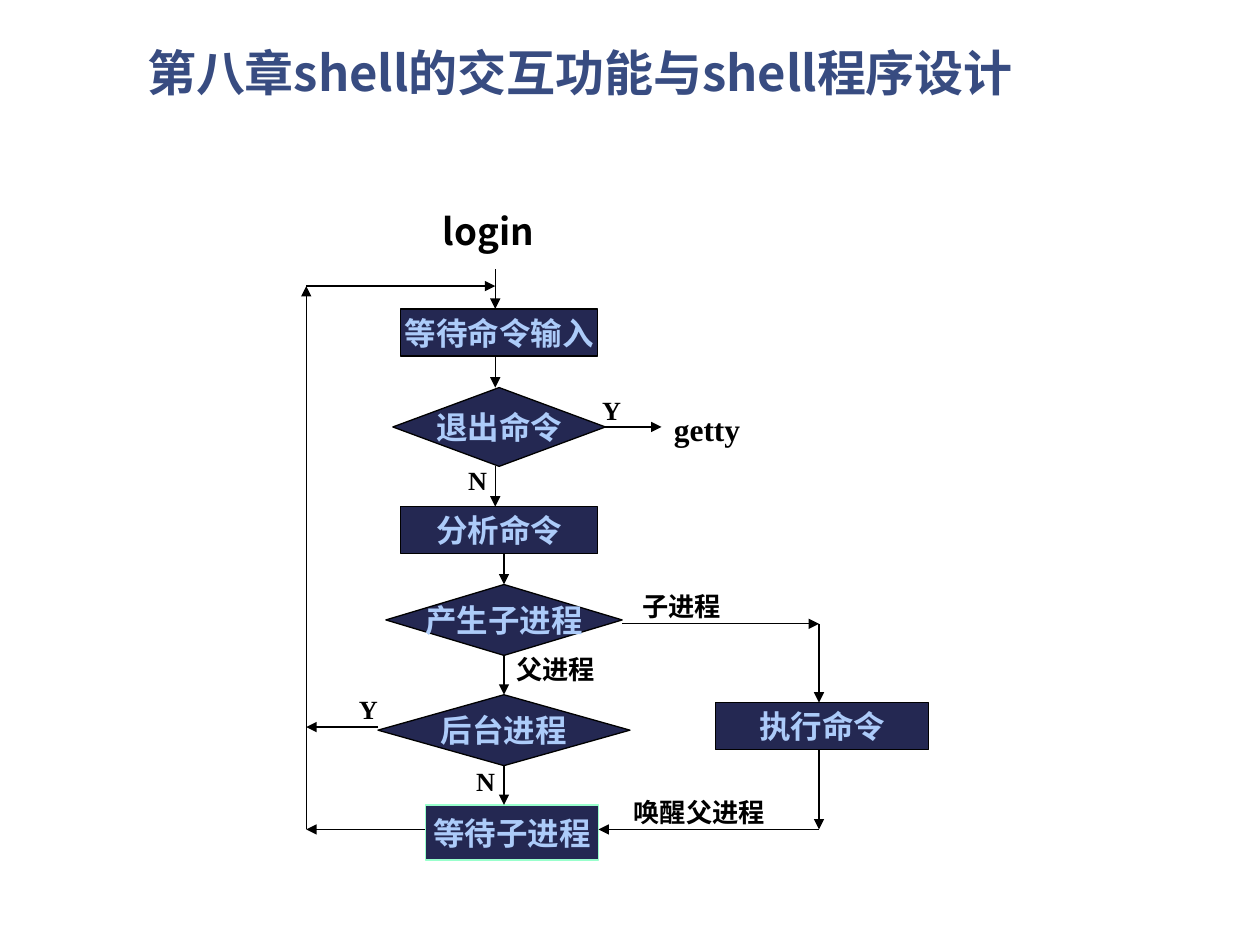
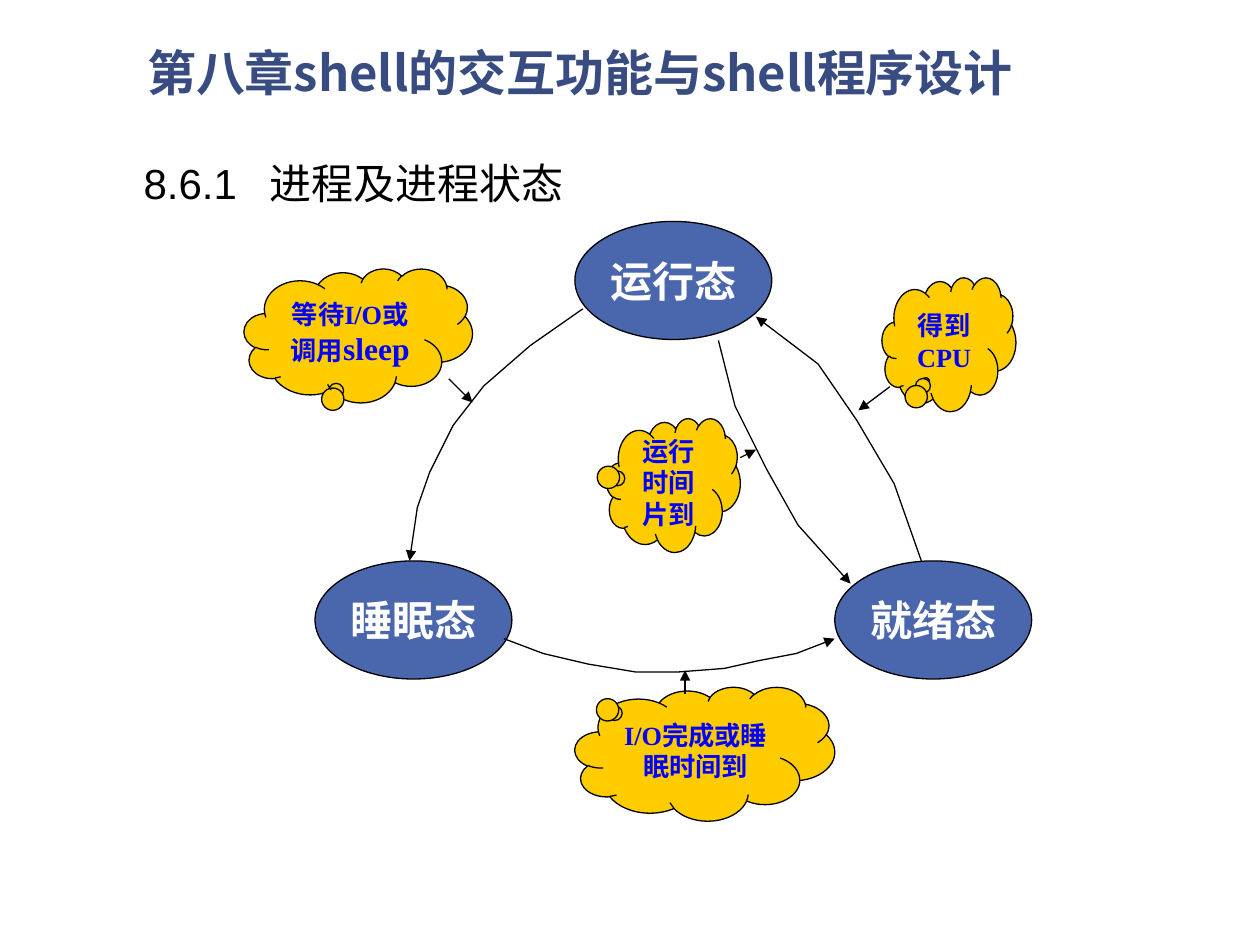
from dataclasses import dataclass

from lxml.etree import SubElement
from pptx import Presentation
from pptx.dml.color import RGBColor
from pptx.enum.shapes import MSO_CONNECTOR, MSO_SHAPE
from pptx.enum.text import MSO_ANCHOR, PP_ALIGN
from pptx.oxml.ns import qn
from pptx.util import Pt

TOP, LEFT, BOTTOM, RIGHT = range(4)


@dataclass(frozen=True)
class Theme:
    # Colours
    title: str = "384C81"
    ink: str = "000000"
    step: str = "242852"
    step_text: str = "ACCBF9"
    highlight: str = "99FFCC"
    state: str = "4A66AC"
    state_text: str = "FFFFFF"
    cloud: str = "FFCC00"
    cloud_text: str = "0000FF"
    # Fonts and type sizes
    serif: str = "Times New Roman"
    sans: str = "Arial"
    chinese: str = "Noto Sans CJK SC"
    title_size: float = 28
    heading_size: float = 24
    login_size: float = 21
    step_size: float = 18
    label_size: float = 15
    line_width: float = 0.75


class Deck:
    """Holds the theme and the slide being drawn; all lengths are in points."""

    def __init__(self, theme):
        self.theme = theme
        self.presentation = Presentation()
        self.presentation.slide_width = Pt(720)
        self.presentation.slide_height = Pt(540)
        self.slide = None

    def new_slide(self, title):
        theme = self.theme
        self.slide = self.presentation.slides.add_slide(self.presentation.slide_layouts[6])
        frame = self.text(77, 26, 550, 34.5, title, theme.title_size, theme.chinese, theme.title)
        frame.vertical_anchor = MSO_ANCHOR.MIDDLE
        frame.paragraphs[0].line_spacing = 0.9

    def format_run(self, run, size, font, color, bold=True):
        run.font.size = Pt(size)
        run.font.bold = bold
        run.font.color.rgb = RGBColor.from_string(color)
        run.font.name = font
        SubElement(run.font._element, qn("a:ea"), typeface=self.theme.chinese)

    def text(self, left, top, width, height, text, size=None, font=None, color=None,
             bold=True, tab=None):
        theme = self.theme
        box = self.slide.shapes.add_textbox(Pt(left), Pt(top), Pt(width), Pt(height))
        frame = box.text_frame
        frame.word_wrap = True
        frame.text = text
        paragraph = frame.paragraphs[0]
        if tab:
            tabs = SubElement(paragraph._p.get_or_add_pPr(), qn("a:tabLst"))
            SubElement(tabs, qn("a:tab"), pos=str(Pt(tab)), algn="l")
        self.format_run(paragraph.runs[0], size or theme.label_size,
                        font or theme.serif, color or theme.ink, bold)
        return frame

    def outline(self, shape, color=None):
        shape.line.color.rgb = RGBColor.from_string(color or self.theme.ink)
        shape.line.width = Pt(self.theme.line_width)

    def shape(self, kind, box, text, fill, color, size, line=None, wrap=False):
        shape = self.slide.shapes.add_shape(kind, *map(Pt, box))
        shape.shadow.inherit = False
        shape.fill.solid()
        shape.fill.fore_color.rgb = RGBColor.from_string(fill)
        self.outline(shape, line)
        frame = shape.text_frame
        frame.word_wrap = wrap
        frame.vertical_anchor = MSO_ANCHOR.MIDDLE
        frame.text = text
        paragraph = frame.paragraphs[0]
        paragraph.alignment = PP_ALIGN.CENTER
        self.format_run(paragraph.runs[0], size, self.theme.serif, color)
        return shape

    def step(self, kind, box, text, line=None):
        theme = self.theme
        return self.shape(kind, box, text, theme.step, theme.step_text, theme.step_size, line)

    def state(self, left, top, text):
        theme = self.theme
        return self.shape(MSO_SHAPE.OVAL, (left, top, 112.5, 67.5), text,
                          theme.state, theme.state_text, theme.heading_size)

    def cloud(self, left, top, width, tip, text, command=""):
        theme = self.theme
        shape = self.shape(MSO_SHAPE.CLOUD_CALLOUT, (left, top, width, 76.5), text,
                           theme.cloud, theme.cloud_text, theme.label_size, wrap=True)
        shape.adjustments[0], shape.adjustments[1] = tip
        if command:
            run = shape.text_frame.paragraphs[0].add_run()
            run.text = command
            self.format_run(run, theme.step_size, theme.serif, theme.cloud_text)

    def add_arrowhead(self, shape):
        SubElement(shape._element.spPr.find(qn("a:ln")), qn("a:tailEnd"), type="triangle")

    def arrow(self, start, end, begin=None, finish=None):
        """begin and finish are optional (shape, side) pairs to join."""
        connector = self.slide.shapes.add_connector(
            MSO_CONNECTOR.STRAIGHT, *map(Pt, (*start, *end)))
        if begin:
            connector.begin_connect(*begin)
        if finish:
            connector.end_connect(*finish)
        self.outline(connector)
        self.add_arrowhead(connector)
        SubElement(connector._element.spPr, qn("a:effectLst"))

    def curve(self, *points):
        start, *rest = [(Pt(x), Pt(y)) for x, y in points]
        builder = self.slide.shapes.build_freeform(*start)
        builder.add_line_segments(rest, close=False)
        shape = builder.convert_to_shape()
        shape.shadow.inherit = False
        shape.fill.background()
        self.outline(shape)
        self.add_arrowhead(shape)


def draw_command_loop(deck):
    theme = deck.theme
    deck.text(246, 116, 90, 38, "login", theme.login_size, theme.chinese)

    # Steps and decisions
    box, decision = MSO_SHAPE.RECTANGLE, MSO_SHAPE.FLOWCHART_DECISION
    deck.step(box, (229, 176.5, 112.5, 27), "等待命令输入")
    deck.step(box, (229, 289.5, 112.5, 27), "分析命令")
    leave = deck.step(decision, (224.5, 221.5, 121.5, 45), "退出命令")
    fork = deck.step(decision, (220.5, 334, 135, 40.5), "产生子进程")
    background = deck.step(decision, (216, 397, 144, 40.5), "后台进程")
    deck.step(MSO_SHAPE.FLOWCHART_PROCESS, (243, 460, 99, 31.5), "等待子进程", theme.highlight)
    deck.step(box, (409, 401.5, 121.5, 27), "执行命令")

    # Main path, downwards
    trunk, middle, child, loop = 283, 288, 468, 175
    for top, bottom in ((154, 176.5), (203.5, 221.5), (266.5, 289.5)):
        deck.arrow((trunk, top), (trunk, bottom))
    deck.arrow((middle, 316.5), (middle, 334), finish=(fork, TOP))
    deck.arrow((middle, 374.5), (middle, 397), (fork, BOTTOM), (background, TOP))
    deck.arrow((middle, 437.5), (middle, 460), begin=(background, BOTTOM))

    # Exit, child process and the way back
    entry, wake = 163.5, 474
    deck.arrow((346, 244), (378, 244), begin=(leave, RIGHT))
    for start, end in (
        ((355.5, 356.5), (child, 356.5)),
        ((child, 356.5), (child, 401.5)),
        ((child, 428.5), (child, wake)),
        ((child, wake), (342, wake)),
        ((loop, entry), (trunk, entry)),
        ((243, wake), (loop, wake)),
        ((loop, wake), (loop, entry)),
        ((216, 415.5), (loop, 415.5)),
    ):
        deck.arrow(start, end)

    # Branch labels
    deck.text(378, 230.5, 72, 29, "getty", theme.step_size)
    for left, top, width, text in (
        (337, 222, 27, "Y"),
        (260.5, 262, 36, "N"),
        (360, 334, 78.5, "子进程"),
        (288, 370, 72, "父进程"),
        (355, 451.5, 103.5, "唤醒父进程"),
        (265, 433.5, 27, "N"),
        (198, 392.5, 31.5, "Y"),
    ):
        deck.text(left, top, width, 25, text)


def draw_process_states(deck):
    theme = deck.theme

    # States
    deck.state(328.5, 126.5, "运行态")
    deck.state(477, 320.5, "就绪态")
    deck.state(180, 320.5, "睡眠态")

    # Transitions
    deck.curve((333, 176.5), (303, 197.5), (276.5, 220.5), (259, 243),
               (245.5, 270), (238.5, 290), (234, 320.5))
    deck.curve((288, 365), (310.5, 373.5), (336, 379.5), (363, 384), (388, 384),
               (414, 382), (434, 377.5), (455, 373.5), (477, 365))
    deck.curve((410.5, 194.5), (420, 232), (438, 268), (456, 300), (486, 333.5))
    deck.curve((526.5, 320.5), (511, 276.5), (489.5, 240), (467.5, 208), (432, 181))

    # Causes, each pointing at its transition
    deck.cloud(139.5, 153.5, 130.5, (-0.094, 0.401), "等待I/O或调用", "sleep")
    deck.cloud(504, 158.5, 76.5, (-0.173, 0.277), "得到CPU")
    deck.cloud(346.5, 239, 76.5, (-0.406, -0.049), "运行时间片到")
    deck.cloud(328.5, 392.5, 148.5, (-0.345, -0.303), "I/O完成或睡眠时间到")
    for start, end in (
        ((256.5, 216.5), (270, 230)),
        ((391.5, 396.5), (391.5, 383)),
        ((423, 261.5), (432, 257)),
        ((508.5, 221), (490.5, 234.5)),
    ):
        deck.arrow(start, end)

    deck.text(75, 86.5, 353.5, 36, "8.6.1\t进程及进程状态", theme.heading_size,
              theme.sans, bold=False, tab=72)


def main():
    deck = Deck(Theme())
    for draw in (draw_command_loop, draw_process_states):
        deck.new_slide("第八章shell的交互功能与shell程序设计")
        draw(deck)
    deck.presentation.save("out.pptx")


if __name__ == "__main__":
    main()
